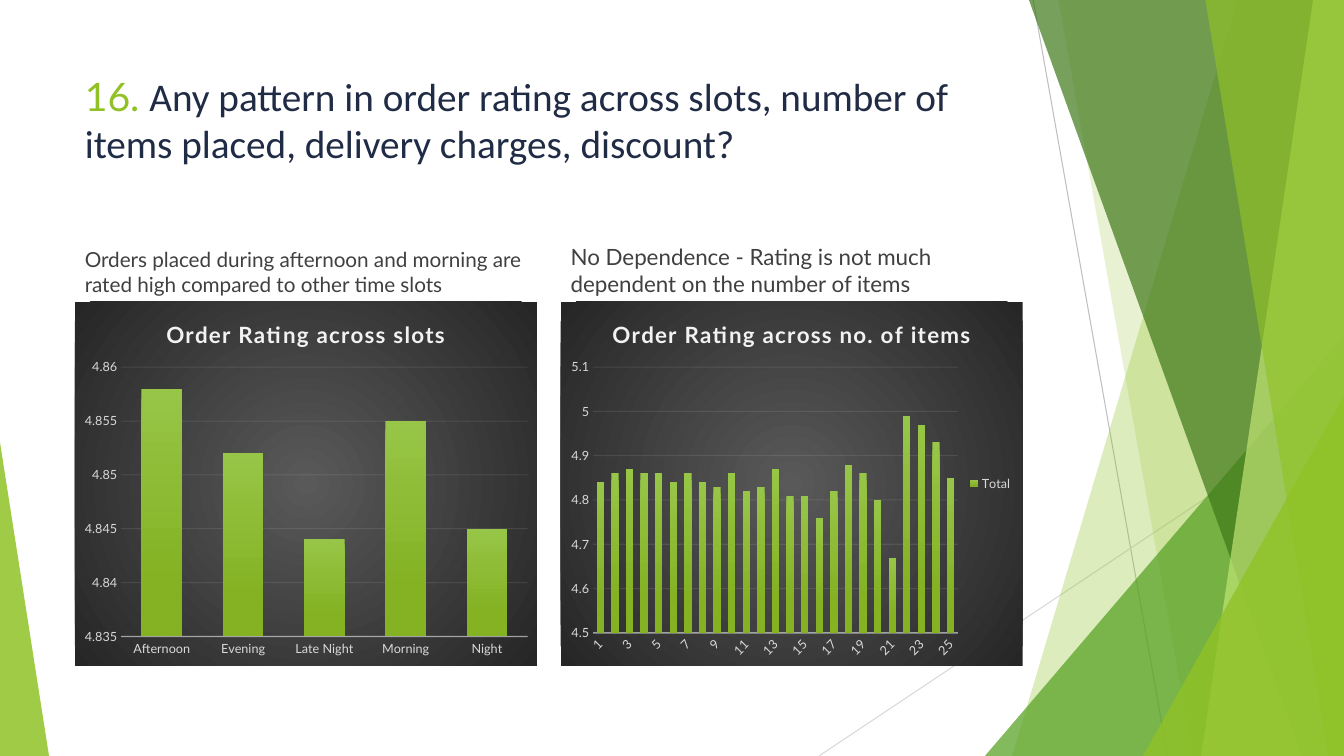
from lxml import etree
from pptx import Presentation
from pptx.chart.data import CategoryChartData
from pptx.dml.color import RGBColor
from pptx.enum.chart import XL_CHART_TYPE, XL_LEGEND_POSITION, XL_TICK_MARK
from pptx.enum.shapes import MSO_CONNECTOR, MSO_SHAPE
from pptx.enum.text import MSO_ANCHOR
from pptx.oxml import parse_xml
from pptx.oxml.ns import nsdecls, qn
from pptx.util import Pt

STRAIGHT = MSO_CONNECTOR.STRAIGHT
TRIANGLE = MSO_SHAPE.ISOSCELES_TRIANGLE
COLUMNS = XL_CHART_TYPE.COLUMN_CLUSTERED
LEGEND_RIGHT = XL_LEGEND_POSITION.RIGHT
NO_TICK = XL_TICK_MARK.NONE
TOP, BOTTOM = MSO_ANCHOR.TOP, MSO_ANCHOR.BOTTOM

BLACK = RGBColor(0x00, 0x00, 0x00)
LIME = RGBColor(0x90, 0xC2, 0x26)
GREEN = RGBColor(0x54, 0xA0, 0x21)
FOREST = RGBColor(0x3F, 0x78, 0x19)
PALE_LIME = RGBColor(0xC0, 0xE4, 0x74)
NAVY = RGBColor(0x20, 0x2B, 0x45)
BODY_GRAY = RGBColor(0x40, 0x40, 0x40)
LINE_GRAY = RGBColor(0xBF, 0xBF, 0xBF)
LABEL_GRAY = RGBColor(0xD9, 0xD9, 0xD9)
OFF_WHITE = RGBColor(0xF2, 0xF2, 0xF2)
PANEL_CENTER = RGBColor(0x59, 0x59, 0x59)
PANEL_EDGE = RGBColor(0x26, 0x26, 0x26)
BAR_TOP = RGBColor(0x97, 0xC5, 0x47)
BAR_BOTTOM = RGBColor(0x84, 0xB2, 0x23)

WIDTH, HEIGHT = 960, 540


def add_text(paragraph, text, *, size, color, font="Lato", bold=False, spacing=0):
    run = paragraph.add_run()
    run.text = text
    run.font.size = Pt(size)
    run.font.name = font
    run.font.bold = bold
    run.font.color.rgb = color
    if spacing:
        run.font._element.set("spc", str(spacing * 100))


def set_opacity(properties, percent):
    for color in properties.iter(qn("a:srgbClr")):
        etree.SubElement(color, qn("a:alpha")).set("val", str(percent * 1000))


def gradient(stops, direction):
    colors = "".join(
        f'<a:gs pos="{pos * 1000}"><a:srgbClr val="{color}"/></a:gs>' for pos, color in stops)
    return f"<a:gradFill><a:gsLst>{colors}</a:gsLst>{direction}</a:gradFill>"


def shape_properties(fill):
    return parse_xml(f'<c:spPr {nsdecls("c", "a")}>{fill}<a:ln><a:noFill/></a:ln></c:spPr>')


PANEL_FILL = gradient(
    [(0, PANEL_CENTER), (100, PANEL_EDGE)],
    '<a:path path="circle"><a:fillToRect l="50000" t="50000" r="50000" b="50000"/></a:path>')
BAR_FILL = gradient([(0, BAR_TOP), (78, BAR_BOTTOM)], '<a:lin ang="5400000" scaled="0"/>')


class SlideBuilder:
    """Draws the elements of one slide in a shared style."""

    def __init__(self, slide):
        self.shapes = slide.shapes

    def hairline(self, x1, y1, x2, y2, color):
        line = self.shapes.add_connector(STRAIGHT, Pt(x1), Pt(y1), Pt(x2), Pt(y2))
        line.line.color.rgb = color
        line.line.width = Pt(0.75)
        etree.SubElement(line._element.spPr, qn("a:effectLst"))

    def paint(self, shape, color, opacity):
        shape.shadow.inherit = False
        shape.fill.solid()
        shape.fill.fore_color.rgb = color
        set_opacity(shape._element.spPr, opacity)
        shape.line.fill.background()

    def band(self, top_x, bottom_x, color, opacity):
        """Full-height facet from a slanted left edge to the right slide edge."""
        outline = self.shapes.build_freeform(top_x, 0, scale=Pt(1))
        outline.add_line_segments([(WIDTH, 0), (WIDTH, HEIGHT), (bottom_x, HEIGHT)], close=True)
        self.paint(outline.convert_to_shape(), color, opacity)

    def wedge(self, left, top, width, apex, color, opacity):
        """Triangle standing on the bottom slide edge."""
        shape = self.shapes.add_shape(TRIANGLE, Pt(left), Pt(top), Pt(width), Pt(HEIGHT - top))
        shape.adjustments[0] = apex
        self.paint(shape, color, opacity)

    def text_box(self, left, top, width, height, runs, anchor=TOP):
        frame = self.shapes.add_textbox(Pt(left), Pt(top), Pt(width), Pt(height)).text_frame
        frame.word_wrap = True
        frame.vertical_anchor = anchor
        for text, style in runs:
            add_text(frame.paragraphs[0], text, **style)

    def label_font(self, font):
        font.size = Pt(9)
        font.name = "Lato"
        font.color.rgb = LABEL_GRAY

    def rating_chart(self, left, title, series_name, ratings, scale, plot_layout,
                     legend=False, slanted=False):
        data = CategoryChartData()
        data.categories = list(ratings)
        data.add_series(series_name, list(ratings.values()))
        chart = self.shapes.add_chart(
            COLUMNS, Pt(left), Pt(215.5), Pt(330), Pt(260), data).chart
        chart.font.size = Pt(10)
        chart.font.name = "Lato"
        chart.font.color.rgb = BLACK
        chart._chartSpace.find(qn("c:chart")).addnext(shape_properties(PANEL_FILL))

        # Title and legend
        chart.has_title = True
        add_text(chart.chart_title.text_frame.paragraphs[0], title,
                 size=16, color=OFF_WHITE, bold=True, spacing=1)
        chart.chart_title.include_in_layout = False
        chart.has_legend = legend
        if legend:
            chart.legend.position = LEGEND_RIGHT
            chart.legend.include_in_layout = False
            self.label_font(chart.legend.font)

        # Columns
        plot = chart.plots[0]
        plot.vary_by_categories = False
        plot.gap_width = 100
        plot.overlap = -24
        bars = plot.series[0]
        bars.format.fill.solid()
        old_fill = bars._element.find(qn("c:spPr"))
        old_fill.getparent().replace(old_fill, shape_properties(BAR_FILL))

        # Axes
        categories, values = chart.category_axis, chart.value_axis
        for axis in (categories, values):
            axis.major_tick_mark = axis.minor_tick_mark = NO_TICK
            self.label_font(axis.tick_labels.font)
        categories.format.line.color.rgb = OFF_WHITE
        categories.format.line.width = Pt(1)
        set_opacity(categories._element.find(qn("c:spPr")), 54)
        values.minimum_scale, values.maximum_scale, values.major_unit = scale
        values.tick_labels.number_format = "General"
        values.tick_labels.number_format_is_linked = False
        values.format.line.fill.background()
        values.major_gridlines.format.line.color.rgb = OFF_WHITE
        values.major_gridlines.format.line.width = Pt(0.75)
        set_opacity(values._element.find(qn("c:majorGridlines")), 10)
        if slanted:
            axis_xml = categories._element
            axis_xml.find(qn("c:txPr")).find(qn("a:bodyPr")).set("rot", "-2700000")
            axis_xml.find(qn("c:noMultiLvlLbl")).addprevious(
                parse_xml(f'<c:tickLblSkip {nsdecls("c")} val="2"/>'))

        # Plot area position
        area = chart._chartSpace.find(qn("c:chart")).find(qn("c:plotArea"))
        for layout in area.findall(qn("c:layout")):
            area.remove(layout)
        settings = [("layoutTarget", "inner"), ("xMode", "edge"), ("yMode", "edge")]
        settings += zip("xywh", plot_layout)
        items = "".join(f'<c:{tag} val="{value}"/>' for tag, value in settings)
        area.insert(0, parse_xml(
            f'<c:layout {nsdecls("c")}><c:manualLayout>{items}</c:manualLayout></c:layout>'))


def main():
    deck = Presentation()
    deck.slide_width, deck.slide_height = Pt(WIDTH), Pt(HEIGHT)
    page = SlideBuilder(deck.slides.add_slide(deck.slide_layouts[6]))

    # Faceted background
    page.hairline(738, 0, 834, HEIGHT, LINE_GRAY)
    page.hairline(WIDTH, 290, 585, HEIGHT, LABEL_GRAY)
    page.band(884, 723, LIME, 30)
    page.band(756, 852, LIME, 20)
    page.wedge(703.5, 240, 256.5, 1, GREEN, 72)
    page.band(735, 930, FOREST, 70)
    page.band(938, 858, PALE_LIME, 70)
    page.band(861, 949, LIME, 65)
    page.wedge(816.5, 283, 143.5, 1, LIME, 80)
    page.wedge(0, 316, 35, 0, LIME, 85)

    # Question
    page.text_box(53.5, 48, 677, 104, [
        ("16. ", dict(size=28, color=LIME)),
        ("Any pattern in order rating across slots, number of items placed, "
         "delivery charges, discount?", dict(size=28, color=NAVY, font="Calibri"))])

    # Findings
    slots_left, items_left = 53.5, 400.5
    for left, size, finding in (
            (slots_left, 14.8, "Orders placed during afternoon and morning are rated high "
                               "compared to other time slots"),
            (items_left, 16, "No Dependence - Rating is not much dependent on the "
                             "number of items")):
        page.text_box(left, 170, 330, 45.5, [(finding, dict(size=size, color=BODY_GRAY))], BOTTOM)

    # Ratings
    slot_ratings = {"Afternoon": 4.858, "Evening": 4.852, "Late Night": 4.844,
                    "Morning": 4.855, "Night": 4.845}
    item_ratings = [4.84, 4.86, 4.87, 4.86, 4.86, 4.84, 4.86, 4.84, 4.83, 4.86, 4.82, 4.83, 4.87,
                    4.81, 4.81, 4.76, 4.82, 4.88, 4.86, 4.8, 4.67, 4.99, 4.97, 4.93, 4.85]
    page.rating_chart(slots_left, "Order Rating across slots", "Series 1", slot_ratings,
                      (4.835, 4.86, 0.005), (0.1, 0.18, 0.88, 0.74))
    page.rating_chart(items_left, "Order Rating across no. of items", "Total",
                      {str(count): rating for count, rating in enumerate(item_ratings, 1)},
                      (4.5, 5.1, 0.1), (0.07, 0.18, 0.79, 0.73), legend=True, slanted=True)

    deck.save("out.pptx")


if __name__ == "__main__":
    main()
